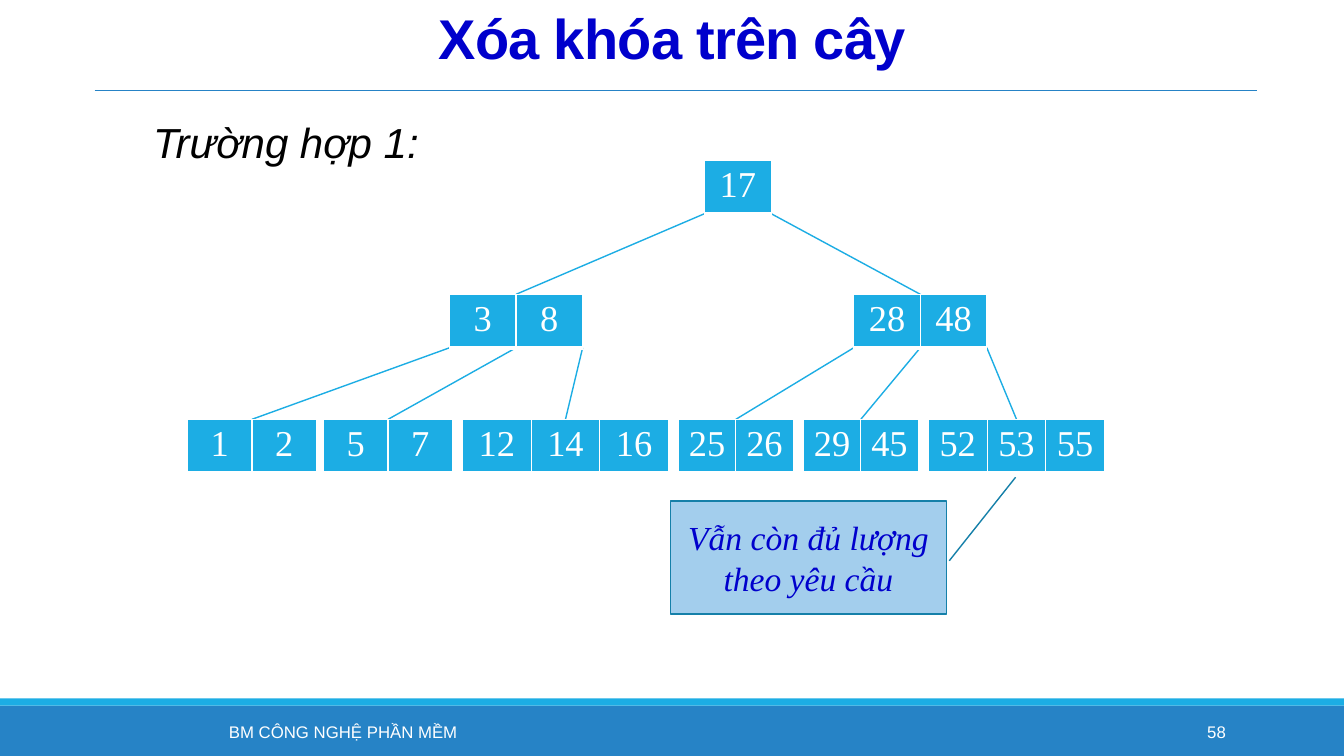
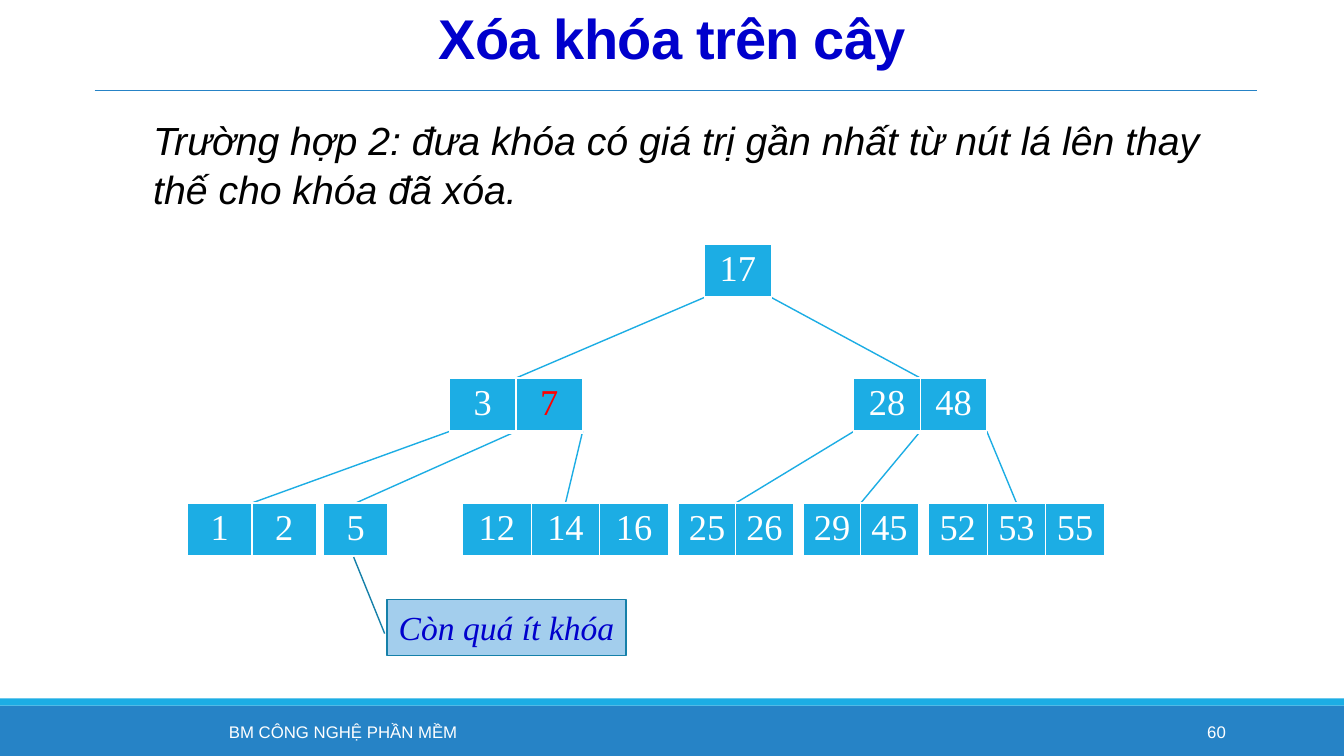
from lxml.etree import SubElement
from pptx import Presentation
from pptx.dml.color import RGBColor
from pptx.enum.shapes import MSO_CONNECTOR, MSO_SHAPE
from pptx.enum.text import MSO_ANCHOR, PP_ALIGN
from pptx.oxml.ns import qn
from pptx.util import Inches, Pt

# The grid has square units of a tenth of an inch: 133.33 columns by 75 rows.
UNIT = Inches(0.1)
COLS, ROWS = 133.33, 75
WHITE, BLACK, RED, NAVY = "FFFFFF", "000000", "FF0000", "0000CC"
BLUE, SKY, PALE, EDGE = "2683C6", "1CADE4", "A3CEED", "1580A9"
SANS, SERIF = "Arial", "Times New Roman"

TITLE = "Xóa khóa trên cây"
FOOTER = "BM CÔNG NGHỆ PHẦN MỀM"
BANDS = [((0, 70, COLS, 5), BLUE), ((0, 69.3, COLS, 0.7), SKY)]
RULE = (9.4, 9, 124.7, 9, BLUE, 0.5)
NODE_H = 5.3
LEVELS = [0, 13.3, 25.7]  # rows below the top of the root

# Each node: left column, key width, level, keys, children
LEAVES = {
    "a": (18.6, 6.4, 2, ["1", "2"], ""),
    "b": (32.1, 6.4, 2, ["5", "7"], ""),
    "c": (45.9, 6.8, 2, ["12", "14", "16"], ""),
    "d": (67.3, 5.7, 2, ["25", "26"], ""),
    "e": (79.7, 5.7, 2, ["29", "45"], ""),
    "f": (92.1, 5.83, 2, ["52", "53", "55"], ""),
}
TREE = LEAVES | {
    "L": (44.6, 6.6, 1, ["3", "8"], "abc"),
    "R": (84.7, 6.6, 1, ["28", "48"], "def"),
    "T": (69.9, 6.6, 0, ["17"], "LR"),
}
TREE_AFTER = TREE | {
    "b": (32.1, 6.4, 2, ["5"], ""),
    "L": (44.6, 6.6, 1, ["3", "7"], "abc"),
}

SLIDES = [
    dict(number="58", case="Trường hợp 1:", case_size=30, case_h=7.8,
         top=15.9, tree=TREE, moved=None,
         note="Vẫn còn đủ lượng theo yêu cầu", note_box=(66.5, 49.7, 27.4, 11.2),
         tail=(0.53, 1.01, -0.21, 1.25)),
    dict(number="60", case="Trường hợp 2: đưa khóa có giá trị gần nhất từ nút lá "
         "lên thay thế cho khóa đã xóa.", case_size=28, case_h=11.2,
         top=24.2, tree=TREE_AFTER, moved=("L", "7"),
         note="Còn quá ít khóa", note_box=(38.4, 59.5, 23.7, 5.5),
         tail=(0.61, -0.01, -0.77, -0.14)),
]


def grid(*units):
    """Turn grid units into slide lengths."""
    return [int(u * UNIT) for u in units]


def write(tf, text, size, name, color, align=PP_ALIGN.CENTER, para=None, **font):
    """Fill a text frame with one formatted paragraph and return its run."""
    tf.word_wrap = True
    p = tf.paragraphs[0]
    for key, value in dict(alignment=align, **(para or {})).items():
        setattr(p, key, value)
    r = p.add_run()
    r.text = text
    for key, value in dict(size=Pt(size), name=name, **font).items():
        setattr(r.font, key, value)
    r.font.color.rgb = RGBColor.from_string(color)
    return r


prs = Presentation()
prs.slide_width, prs.slide_height = grid(COLS, ROWS)

for page in SLIDES:
    s = prs.slides.add_slide(prs.slide_layouts[5])
    tree, top = page["tree"], page["top"]

    # Bands
    for place, color in BANDS:
        band = s.shapes.add_shape(MSO_SHAPE.RECTANGLE, *grid(*place))
        band.shadow.inherit = False
        band.fill.solid()
        band.fill.fore_color.rgb = RGBColor.from_string(color)
        band.line.fill.background()

    # Title
    title = s.shapes.title
    title.left, title.top, title.width, title.height = grid(8.5, 0.4, 116.4, 7.7)
    title.text_frame.vertical_anchor = MSO_ANCHOR.MIDDLE
    r = write(title.text_frame, TITLE, 40, SANS, NAVY,
              para=dict(line_spacing=0.85), bold=True)
    r.font._element.set("spc", "-50")

    # Case description
    tf = s.shapes.add_textbox(*grid(15.2, 10.8, 103.8, page["case_h"])).text_frame
    tf.margin_left = tf.margin_right = 0
    write(tf, page["case"], page["case_size"], SANS, BLACK, PP_ALIGN.JUSTIFY,
          dict(line_spacing=1.05, space_before=Pt(6)), italic=True)

    # Branches leave the parent's bottom edge at equal steps, ending mid-child
    lines = [RULE]
    for left, key_w, level, keys, children in tree.values():
        for i, child in enumerate(children):
            c_left, c_key_w, c_level, c_keys, _ = tree[child]
            lines.append((left + key_w * len(keys) * i / (len(children) - 1),
                          top + LEVELS[level] + NODE_H,
                          c_left + c_key_w * len(c_keys) / 2,
                          top + LEVELS[c_level], SKY, 1))
    for *ends, color, width in lines:
        line = s.shapes.add_connector(MSO_CONNECTOR.STRAIGHT, *grid(*ends))
        line.line.color.rgb = RGBColor.from_string(color)
        line.line.width = Pt(width)
        SubElement(line._element.spPr, qn("a:effectLst"))

    # Nodes
    for node, (left, key_w, level, keys, _) in tree.items():
        place = grid(left, top + LEVELS[level], key_w * len(keys), NODE_H)
        table = s.shapes.add_table(1, len(keys), *place).table
        table.first_row = table.horz_banding = False
        for i, key in enumerate(keys):
            table.columns[i].width = grid(key_w)[0]
            cell = table.cell(0, i)
            cell.margin_left = cell.margin_right = grid(0.5)[0]
            tcPr = cell._tc.get_or_add_tcPr()
            for side, width in dict(lnL=1, lnR=1, lnT=1, lnB=3).items():
                ln = SubElement(tcPr, qn("a:" + side), w=str(Pt(width)))
                SubElement(SubElement(ln, qn("a:solidFill")), qn("a:srgbClr"), val=WHITE)
            cell.fill.solid()
            cell.fill.fore_color.rgb = RGBColor.from_string(SKY)
            color = RED if (node, key) == page["moved"] else WHITE
            write(cell.text_frame, key, 26, SERIF, color)

    # Callout
    note = s.shapes.add_shape(MSO_SHAPE.LINE_CALLOUT_1, *grid(*page["note_box"]))
    for i, value in enumerate(page["tail"]):
        note.adjustments[i] = value
    note.shadow.inherit = False
    note.fill.solid()
    note.fill.fore_color.rgb = RGBColor.from_string(PALE)
    note.line.color.rgb = RGBColor.from_string(EDGE)
    note.line.width = Pt(1)
    note.text_frame.vertical_anchor = MSO_ANCHOR.MIDDLE
    write(note.text_frame, page["note"], 24, SERIF, NAVY, italic=True)

    # Footer
    for left, width, text, align in [(12, 44.1, FOOTER, PP_ALIGN.CENTER),
                                     (108.3, 14.3, page["number"], PP_ALIGN.RIGHT)]:
        tf = s.shapes.add_textbox(*grid(left, 70.6, width, 4)).text_frame
        tf.vertical_anchor = MSO_ANCHOR.MIDDLE
        write(tf, text, 12, SANS, WHITE, align)

prs.save("out.pptx")
